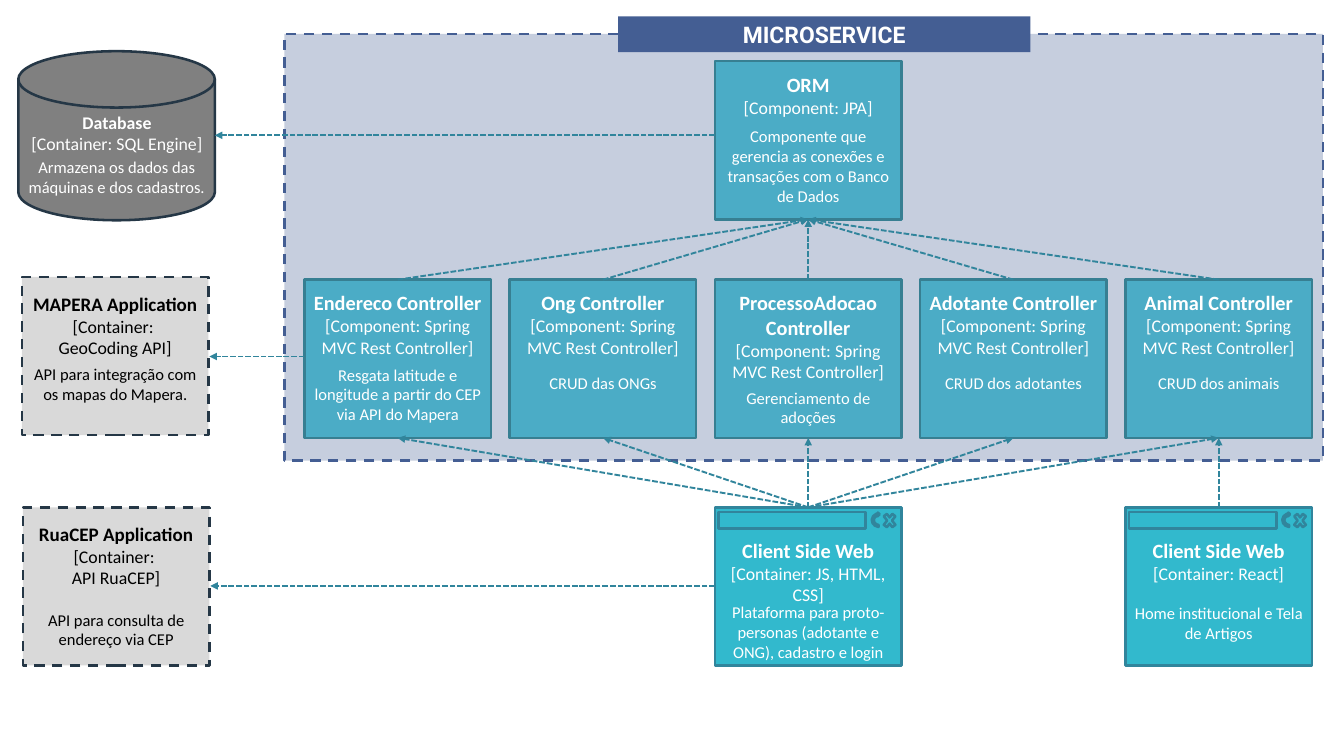
from lxml import etree
from pptx import Presentation
from pptx.dml.color import RGBColor
from pptx.enum import dml, shapes, text
from pptx.oxml.ns import qn
from pptx.util import Inches, Pt

W, H = 2.04, 1.73
COLS = [3.33 + 2.245 * i for i in range(5)]
MID = COLS[2]
ORM_Y, CTRL_Y, CLIENT_Y = 0.67, 3.06, 5.55
SHAPE = shapes.MSO_SHAPE
rgb = RGBColor.from_string


def add_box(parent, kind, at, fill=None, line=None, dash=False):
    sp = parent.add_shape(kind, *map(Inches, at))
    sp.shadow.inherit = False
    if fill:
        sp.fill.solid()
        sp.fill.fore_color.rgb = rgb(fill)
    else:
        sp.fill.background()
    if line:
        sp.line.color.rgb = rgb(line)
        sp.line.width = Pt(2)
        if dash:
            sp.line.dash_style = dml.MSO_LINE.DASH
    else:
        sp.line.fill.background()
    return sp


def add_label(parent, at, paras, color):
    """Each paragraph is (text, size, bold)."""
    sp = parent.add_textbox(*map(Inches, at))
    tf = sp.text_frame
    tf.word_wrap = True
    tf.auto_size = text.MSO_AUTO_SIZE.SHAPE_TO_FIT_TEXT
    tf.text = "\n".join(words for words, _, _ in paras)
    for p, (_, size, bold) in zip(tf.paragraphs, paras):
        p.alignment = text.PP_ALIGN.CENTER
        f = p.runs[0].font
        f.name, f.size, f.bold = "Calibri", Pt(size), bold
        f.color.rgb = rgb(color)


prs = Presentation()
prs.slide_width, prs.slide_height = Inches(14.7), Inches(8.27)
s = prs.slides.add_slide(prs.slide_layouts[6])

# Microservice panel and its title bar
panel = add_box(s.shapes, SHAPE.RECTANGLE, (3.11, 0.37, 11.36, 4.67), "445E93", "445E93", True)
clr = panel.fill._xPr.find(qn("a:solidFill"))[0]
etree.SubElement(clr, qn("a:alpha")).set("val", "30000")

bar = add_box(s.shapes, SHAPE.RECTANGLE, (6.76, 0.18, 4.51, 0.39), "445E93")
tf = bar.text_frame
tf.text = "MICROSERVICE"
tf.vertical_anchor = text.MSO_ANCHOR.MIDDLE
p = tf.paragraphs[0]
p.alignment = text.PP_ALIGN.CENTER
f = p.runs[0].font
f.name, f.size, f.bold = "Roboto", Pt(18), True
f.color.rgb = rgb("FFFFFF")

# Database
g = s.shapes.add_group_shape().shapes
add_box(g, SHAPE.FLOWCHART_MAGNETIC_DISK, (0.2, 0.56, 2.15, 1.85), "808080", "253746")
add_label(g, (0.2, 1.17, 2.16, 0.57),
          [("Database", 14, True), ("[Container: SQL Engine]", 14, False)], "FFFFFF")
add_label(g, (0.2, 1.67, 2.15, 0.54),
          [("Armazena os dados das máquinas e dos cadastros.", 13, False)], "FFFFFF")

# Style: fill, line, dashed, text colour, title size, heading offset
styles = {
    "component": ("4BACC6", "377F92", False, "FFFFFF", 16, 0.07),
    "external": ("D9D9D9", "253746", True, "000000", 15, 0.12),
    "client": ("32B9CD", "31859C", False, "FFFFFF", 16, 0.29),
}
REST = ["[Component: Spring MVC Rest Controller]"]

# Block: style, left, top, title, subtitles, heading height,
# description, description offset and height
blocks = [
    ("external", 0.24, 3.03, "MAPERA Application", ["[Container: ", "GeoCoding API]"], 0.82,
     "API para integração com os mapas do Mapera.", 0.9, 0.54),
    ("external", 0.25, CLIENT_Y, "RuaCEP Application", ["[Container: ", "API RuaCEP]"], 0.84,
     "API para consulta de endereço via CEP", 1.07, 0.54),
    ("component", MID, ORM_Y, "ORM", ["[Component: JPA]"], 0.61,
     "Componente que gerencia as conexões e transações com o Banco de Dados", 0.66, 0.98),
    ("component", COLS[0], CTRL_Y, "Endereco Controller", REST, 0.84,
     "Resgata latitude e longitude a partir do CEP via API do Mapera", 0.88, 0.76),
    ("component", COLS[1], CTRL_Y, "Ong Controller", REST, 0.84,
     "CRUD das ONGs", 0.97, 0.32),
    ("component", MID, CTRL_Y, "ProcessoAdocao Controller", REST, 1.11,
     "Gerenciamento de adoções", 1.13, 0.54),
    ("component", COLS[3], CTRL_Y, "Adotante Controller", REST, 0.84,
     "CRUD dos adotantes", 0.97, 0.32),
    ("component", COLS[4], CTRL_Y, "Animal Controller", REST, 0.84,
     "CRUD dos animais", 0.97, 0.32),
    ("client", MID, CLIENT_Y, "Client Side Web", ["[Container: JS, HTML, CSS]"], 0.84,
     "Plataforma para proto-personas (adotante e ONG), cadastro e login", 0.99, 0.76),
    ("client", COLS[4], CLIENT_Y, "Client Side Web", ["[Container: React]"], 0.61,
     "Home institucional e Tela de Artigos", 1.0, 0.54),
]
for style, x, y, title, subs, head_h, desc, desc_dy, desc_h in blocks:
    fill, line, dash, color, size, head_dy = styles[style]
    g = s.shapes.add_group_shape().shapes
    add_box(g, SHAPE.RECTANGLE, (x, y, W, H), fill, line, dash)
    if style == "client":
        # Browser address bar and buttons
        add_box(g, SHAPE.RECTANGLE, (x + 0.04, y + 0.05, 1.61, 0.18), None, line)
        add_box(g, SHAPE.MATH_MULTIPLY, (x + 1.82, y + 0.03, 0.18, 0.23), None, line)
        reload = add_box(g, SHAPE.CIRCULAR_ARROW, (x + 1.71, y + 0.05, 0.17, 0.18), None, line)
        reload.rotation = 275
    add_label(g, (x, y + head_dy, W, head_h),
              [(title, size, True)] + [(sub, 14, False) for sub in subs], color)
    add_label(g, (x, y + desc_dy, W, desc_h), [(desc, 13, False)], color)

# Arrows: to the outside systems, from the clients, and up to the ORM
centers = [x + W / 2 for x in COLS]
mid = centers[2]
arrows = [
    (MID, 1.48, 2.35, 1.48),
    (COLS[0], 3.9, 2.29, 3.9),
    (MID, 6.41, 2.3, 6.41),
    (centers[4], CLIENT_Y, centers[4], CTRL_Y + H),
]
for cx in centers:
    arrows.append((mid, CLIENT_Y, cx, CTRL_Y + H))
    arrows.append((cx, CTRL_Y, mid, ORM_Y + H))
for ends in arrows:
    c = s.shapes.add_connector(shapes.MSO_CONNECTOR.STRAIGHT, *map(Inches, ends))
    c.line.color.rgb = rgb("31859C")
    c.line.width = Pt(1.5)
    c.line.dash_style = dml.MSO_LINE.SQUARE_DOT
    etree.SubElement(c.line._get_or_add_ln(), qn("a:tailEnd")).set("type", "triangle")
    etree.SubElement(c._element.spPr, qn("a:effectLst"))

prs.save("out.pptx")
